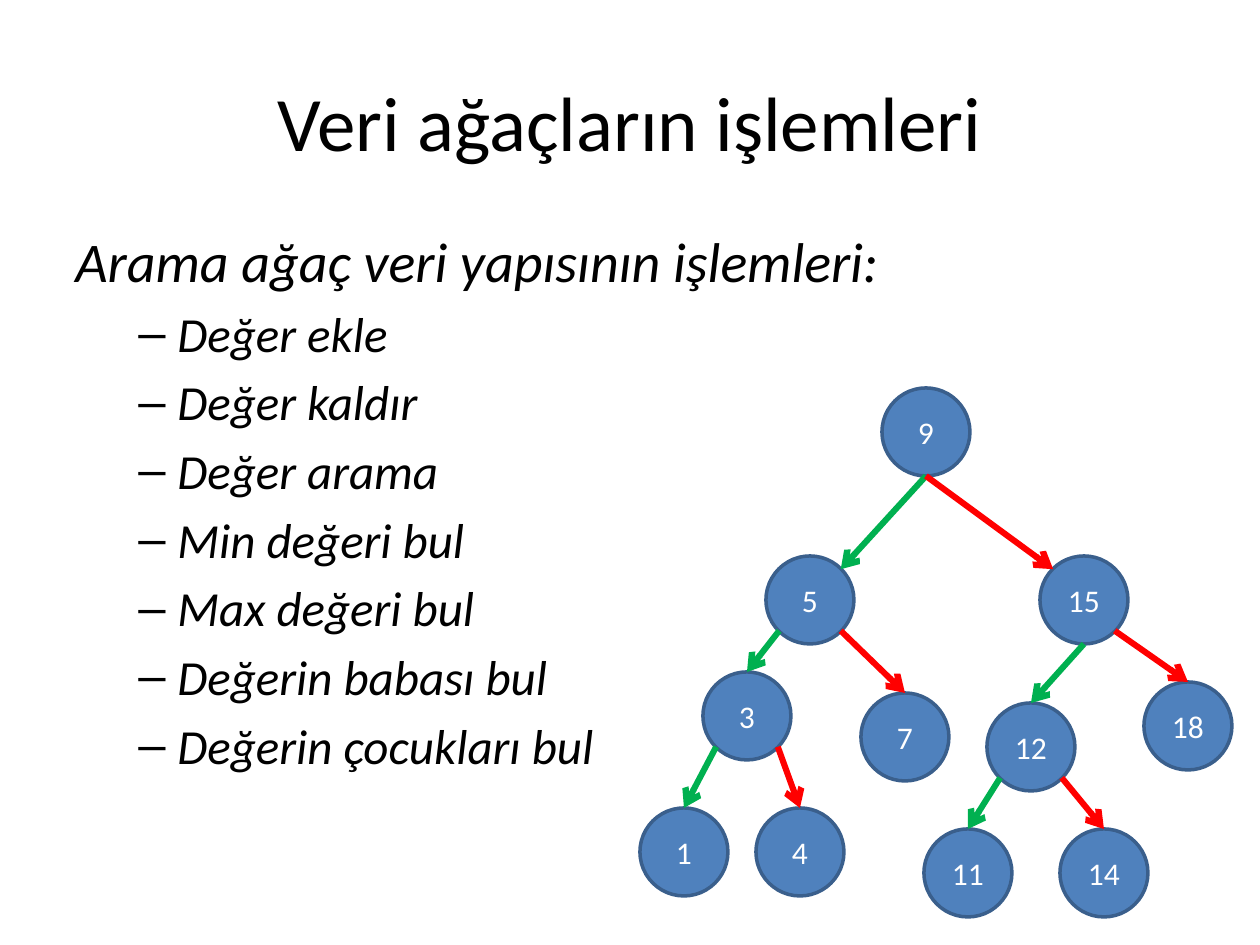
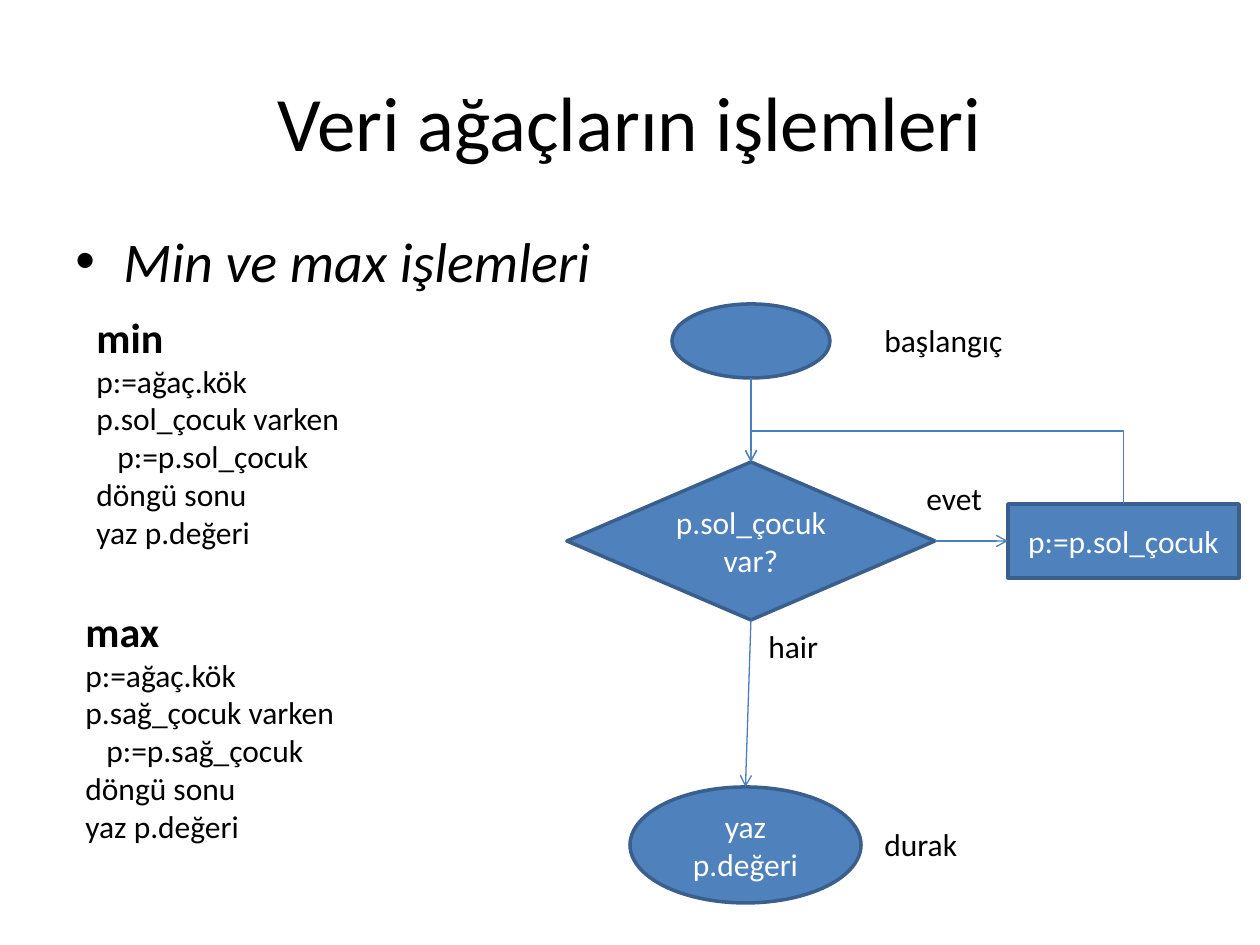
from lxml.etree import SubElement
from pptx import Presentation
from pptx.dml.color import RGBColor
from pptx.enum.shapes import MSO_CONNECTOR, MSO_SHAPE
from pptx.enum.text import MSO_ANCHOR, MSO_AUTO_SIZE, PP_ALIGN
from pptx.oxml.ns import qn
from pptx.util import Emu, Pt

EMU_PER_PIXEL = 914400 // 126
FONT = "Calibri"
BLACK, WHITE, BLUE, DARK_BLUE = "000000", "FFFFFF", "4F81BD", "3A5F8C"
FLOW_BLUE, GREEN, RED = "4B7EBC", "00B050", "FF0000"

TITLE = "Veri ağaçların işlemleri"
TITLE_BOX = (63, 42, 1134, 157)
BODY_BOX = (63, 220, 1134, 624)
LEVELS = {
    "heading": dict(size=32, left=48, hanging=48, bullet=None),
    "dot": dict(size=32, left=48, hanging=48, bullet="•"),
    "dash": dict(size=28, left=102, hanging=39, bullet="–"),
}
TREE_BODY = [("heading", "Arama ağaç veri yapısının işlemleri:")] + [
    ("dash", operation) for operation in (
        "Değer ekle", "Değer kaldır", "Değer arama", "Min değeri bul",
        "Max değeri bul", "Değerin babası bul", "Değerin çocukları bul")]
FLOW_BODY = [("dot", "Min ve max işlemleri")]

NODE_SIZE = 88
NODES = {
    9: (882, 388), 5: (766, 556), 15: (1040, 556), 3: (703, 672),
    7: (861, 693), 12: (987, 703), 18: (1144, 682), 1: (640, 808),
    4: (756, 808), 11: (924, 829), 14: (1060, 829),
}
SITES = {
    "top": (0.5, 0), "bottom": (0.5, 1), "left": (0, 0.5), "right": (1, 0.5),
    "top left": (0.15, 0.15), "top right": (0.85, 0.15),
    "bottom left": (0.15, 0.85), "bottom right": (0.85, 0.85),
}
EDGES = [
    (9, "bottom", 5, "top right", GREEN), (9, "bottom", 15, "top left", RED),
    (5, "bottom left", 3, "top", GREEN), (5, "bottom right", 7, "top", RED),
    (15, "bottom", 12, "top", GREEN), (15, "bottom right", 18, "top", RED),
    (3, "bottom left", 1, "top", GREEN), (3, "bottom right", 4, "top", RED),
    (12, "bottom left", 11, "top", GREEN), (12, "bottom right", 14, "top", RED),
]

ALGORITHMS = [
    ("min", "sol", (84, 305, 271, 255)),
    ("max", "sağ", (73, 599, 277, 255)),
]
LOOP_INDENT = 21
FLOW_STEPS = {
    "start": (MSO_SHAPE.OVAL, (672, 304, 158, 74), ""),
    "test": (MSO_SHAPE.FLOWCHART_DECISION, (567, 462, 368, 158), "p.sol_çocuk var?"),
    "step": (MSO_SHAPE.RECTANGLE, (1008, 504, 231, 74), "p:=p.sol_çocuk"),
    "end": (MSO_SHAPE.OVAL, (630, 787, 231, 116), "yaz p.değeri"),
}
FLOW_ARROWS = [
    ("start", "bottom", "test", "top"),
    ("test", "right", "step", "left"),
    ("test", "bottom", "end", "top"),
]
FLOW_LABELS = [
    ("başlangıç", (872, 315, 145, 50)), ("durak", (872, 819, 100, 50)),
    ("evet", (914, 473, 82, 50)), ("hair", (756, 621, 76, 50)),
]
LOOP_TOP = 431


def px(*values):
    return [Emu(round(value * EMU_PER_PIXEL)) for value in values]


def color(hex_string):
    return RGBColor.from_string(hex_string)


def add_run(paragraph, text, size, hex_color=BLACK, bold=False, italic=False):
    run = paragraph.add_run()
    run.text = text
    font = run.font
    font.name, font.size, font.bold, font.italic = FONT, Pt(size), bold, italic
    font.color.rgb = color(hex_color)


def add_text_frame(slide, box, wrap=True):
    frame = slide.shapes.add_textbox(*px(*box)).text_frame
    frame.word_wrap = wrap
    frame.auto_size = MSO_AUTO_SIZE.NONE if wrap else MSO_AUTO_SIZE.SHAPE_TO_FIT_TEXT
    return frame


def next_paragraph(frame, index):
    return frame.add_paragraph() if index else frame.paragraphs[0]


def set_indent(paragraph, left, hanging=0):
    properties = paragraph._p.get_or_add_pPr()
    properties.set("marL", str(px(left)[0]))
    properties.set("indent", str(px(-hanging)[0]))
    return properties


def add_body(slide, items):
    frame = add_text_frame(slide, BODY_BOX)
    for index, (level, text) in enumerate(items):
        style = LEVELS[level]
        paragraph = next_paragraph(frame, index)
        properties = set_indent(paragraph, style["left"], style["hanging"])
        spacing = SubElement(properties, qn("a:spcBef"))
        SubElement(spacing, qn("a:spcPct"), val="20000")
        if style["bullet"]:
            SubElement(properties, qn("a:buFont"), typeface="Arial")
            SubElement(properties, qn("a:buChar"), char=style["bullet"])
        else:
            SubElement(properties, qn("a:buNone"))
        add_run(paragraph, text, style["size"], italic=True)


def add_titled_slide(presentation, body):
    slide = presentation.slides.add_slide(presentation.slide_layouts[6])
    frame = add_text_frame(slide, TITLE_BOX)
    frame.vertical_anchor = MSO_ANCHOR.MIDDLE
    paragraph = frame.paragraphs[0]
    paragraph.alignment = PP_ALIGN.CENTER
    add_run(paragraph, TITLE, 44)
    add_body(slide, body)
    return slide


def add_blue_shape(slide, kind, box, text):
    shape = slide.shapes.add_shape(kind, *px(*box))
    shape.shadow.inherit = False
    shape.fill.solid()
    shape.fill.fore_color.rgb = color(BLUE)
    shape.line.color.rgb = color(DARK_BLUE)
    shape.line.width = Pt(2)
    if text:
        frame = shape.text_frame
        frame.word_wrap = True
        frame.vertical_anchor = MSO_ANCHOR.MIDDLE
        frame.paragraphs[0].alignment = PP_ALIGN.CENTER
        add_run(frame.paragraphs[0], text, 18, WHITE)


def site(box, name):
    left, top, width, height = box
    across, down = SITES[name]
    return left + across * width, top + down * height


def add_arrow(slide, start, end, hex_color, width, kind=MSO_CONNECTOR.STRAIGHT):
    connector = slide.shapes.add_connector(kind, *px(*start, *end))
    connector.line.color.rgb = color(hex_color)
    connector.line.width = Pt(width)
    SubElement(connector.line._get_or_add_ln(), qn("a:tailEnd"), type="arrow")
    SubElement(connector._element.spPr, qn("a:effectLst"))
    return connector


def add_loop_arrow(slide, start, end, turn):
    rise, run = start[1] - end[1], start[0] - end[0]
    middle_x, middle_y = (start[0] + end[0]) / 2, (start[1] + end[1]) / 2
    connector = add_arrow(
        slide, (middle_x - rise / 2, middle_y + run / 2),
        (middle_x + rise / 2, middle_y - run / 2),
        FLOW_BLUE, 0.75, MSO_CONNECTOR.ELBOW)
    properties = connector._element.spPr
    properties.find(qn("a:xfrm")).set("rot", str(270 * 60000))
    guides = properties.find(qn("a:prstGeom")).find(qn("a:avLst"))
    bend = round((start[1] - turn) / rise * 100000)
    SubElement(guides, qn("a:gd"), name="adj1", fmla=f"val {bend}")


def add_algorithm(slide, name, side, box):
    frame = add_text_frame(slide, box, wrap=False)
    lines = [("p:=ağaç.kök", 0), (f"p.{side}_çocuk varken", 0),
             (f"p:=p.{side}_çocuk", LOOP_INDENT), ("döngü sonu", 0), ("yaz p.değeri", 0)]
    for index, (text, indent) in enumerate(lines):
        paragraph = next_paragraph(frame, index)
        set_indent(paragraph, indent)
        if index == 0:
            add_run(paragraph, name, 24, bold=True)
            paragraph.add_line_break()
        add_run(paragraph, text, 18)


def build_tree_slide(presentation):
    slide = add_titled_slide(presentation, TREE_BODY)
    boxes = {value: (*corner, NODE_SIZE, NODE_SIZE) for value, corner in NODES.items()}
    for value, box in boxes.items():
        add_blue_shape(slide, MSO_SHAPE.FLOWCHART_CONNECTOR, box, str(value))
    for parent, parent_site, child, child_site, hex_color in EDGES:
        add_arrow(slide, site(boxes[parent], parent_site),
                  site(boxes[child], child_site), hex_color, 3.5)


def build_flow_slide(presentation):
    slide = add_titled_slide(presentation, FLOW_BODY)
    for name, side, box in ALGORITHMS:
        add_algorithm(slide, name, side, box)
    for kind, box, text in FLOW_STEPS.values():
        add_blue_shape(slide, kind, box, text)
    boxes = {name: step[1] for name, step in FLOW_STEPS.items()}
    for source, source_site, target, target_site in FLOW_ARROWS:
        add_arrow(slide, site(boxes[source], source_site),
                  site(boxes[target], target_site), FLOW_BLUE, 0.75)
    add_loop_arrow(slide, site(boxes["step"], "top"), site(boxes["test"], "top"), LOOP_TOP)
    for text, box in FLOW_LABELS:
        add_run(add_text_frame(slide, box, wrap=False).paragraphs[0], text, 18)


presentation = Presentation()
presentation.slide_width, presentation.slide_height = px(1260, 945)
build_tree_slide(presentation)
build_flow_slide(presentation)
presentation.save("out.pptx")
